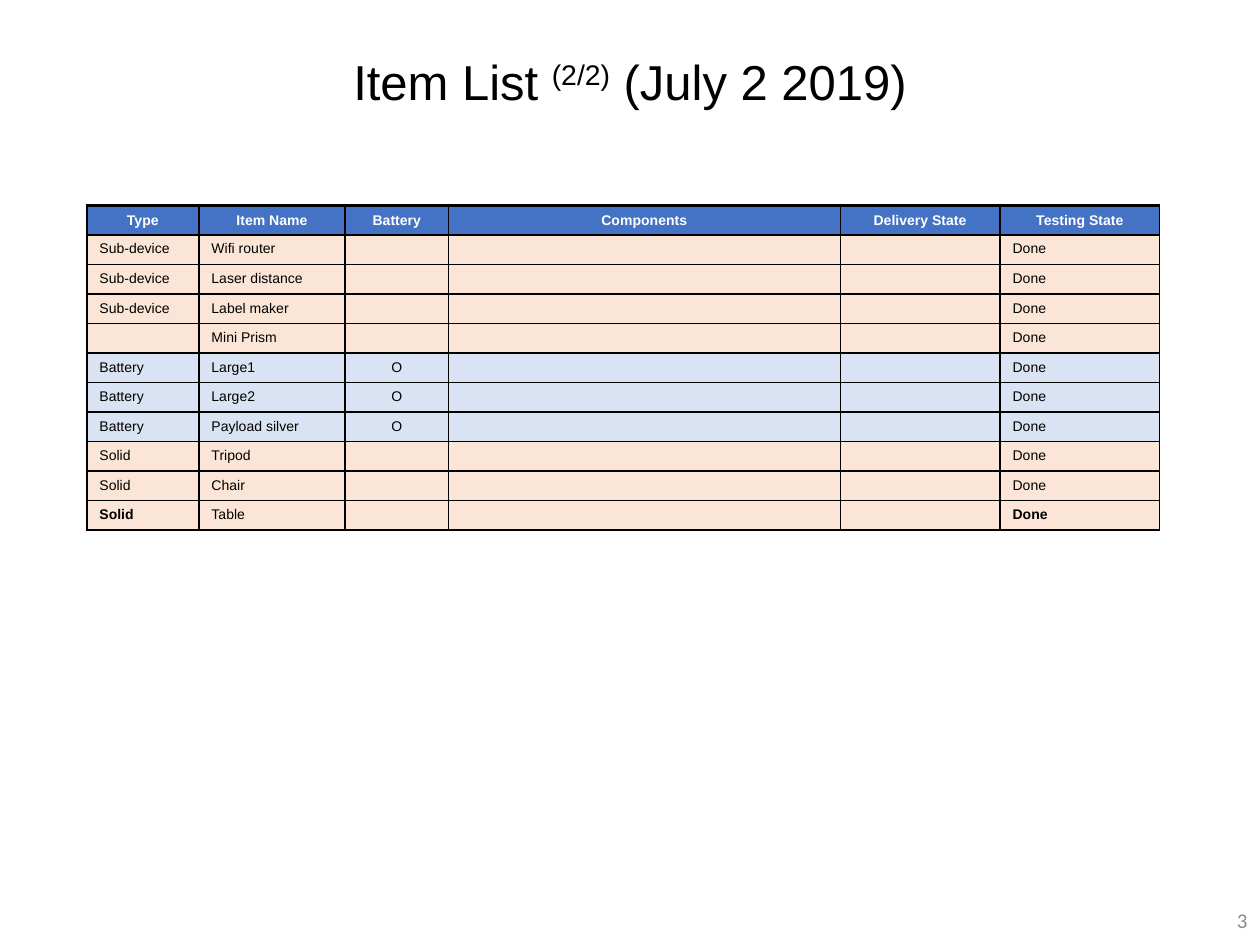
from lxml.etree import SubElement
from pptx import Presentation
from pptx.dml.color import RGBColor
from pptx.enum.text import MSO_ANCHOR, PP_ALIGN
from pptx.oxml.ns import qn
from pptx.util import Cm, Pt

BLACK, WHITE, GREY = "000000", "FFFFFF", "8C8C8C"
HEADER, PEACH, ICE = "4472C4", "FBE5D6", "DAE3F3"
COLUMN_WIDTHS = [2.26, 2.95, 2.08, 7.9, 3.22, 3.22]
HEADINGS = ["Type", "Item Name", "Battery", "Components", "Delivery State", "Testing State"]
ITEMS = [
    ("Sub-device", "Wifi router"),
    ("Sub-device", "Laser distance"),
    ("Sub-device", "Label maker"),
    ("", "Mini Prism"),
    ("Battery", "Large1"),
    ("Battery", "Large2"),
    ("Battery", "Payload silver"),
    ("Solid", "Tripod"),
    ("Solid", "Chair"),
    ("Solid", "Table"),
]


def color(value):
    """Turn a hex string into a colour."""
    return RGBColor.from_string(value)


def add_text(para, text, size=8, font="Arial", fill=BLACK, bold=False, raised=False):
    """Add a formatted span, or set the line size of an empty paragraph."""
    if not text:
        SubElement(para._p, qn("a:endParaRPr"), sz=str(size * 100))
        return
    span = para.add_run()
    span.text = text
    span.font.size = Pt(size)
    span.font.name = font
    span.font.bold = bold
    span.font.color.rgb = color(fill)
    if raised:
        span._r.get_or_add_rPr().set("baseline", "30000")


def add_box(page, left, top, width, height, align):
    """Add a wrapping, vertically centred text box and return its paragraph."""
    box = page.shapes.add_textbox(Cm(left), Cm(top), Cm(width), Cm(height))
    box.text_frame.word_wrap = True
    box.text_frame.vertical_anchor = MSO_ANCHOR.MIDDLE
    para = box.text_frame.paragraphs[0]
    para.alignment = align
    return para


def add_title(page, left, top, width, height):
    """Place the title with its raised page count."""
    para = add_box(page, left, top, width, height, PP_ALIGN.CENTER)
    para.line_spacing = 0.9
    add_text(para, "Item List ", size=28)
    add_text(para, "(2/2)", size=28, raised=True)
    add_text(para, " (July 2 2019)", size=28)


def add_page_number(page, left, top, width, height):
    """Place the page number at the right of its box."""
    para = add_box(page, left, top, width, height, PP_ALIGN.RIGHT)
    add_text(para, "3", size=12, font="Calibri", fill=GREY)


def style_cell(cell, fill, top_width):
    """Give a cell its four black borders and its fill."""
    properties = cell._tc.get_or_add_tcPr()
    for side, width in (("L", 1), ("R", 1), ("T", top_width), ("B", 1)):
        line = SubElement(properties, qn(f"a:ln{side}"), w=str(Pt(width)))
        solid = SubElement(line, qn("a:solidFill"))
        SubElement(solid, qn("a:srgbClr"), val=BLACK)
    cell.fill.solid()
    cell.fill.fore_color.rgb = color(fill)


def add_item_table(page, left, top, width, height):
    """Place the item list with equal rows and a header."""
    rows = [HEADINGS]
    for kind, name in ITEMS:
        rows.append([kind, name, "O" if kind == "Battery" else "", "", "", "Done"])
    frame = page.shapes.add_table(
        len(rows), len(HEADINGS), Cm(left), Cm(top), Cm(width), Cm(height))
    table = frame.table
    for column, column_width in zip(table.columns, COLUMN_WIDTHS):
        column.width = Cm(column_width)
    for row_index, row in enumerate(rows):
        is_header = row_index == 0
        is_last = row_index == len(rows) - 1
        body_fill = ICE if row[0] == "Battery" else PEACH
        for column_index, text in enumerate(row):
            cell = table.cell(row_index, column_index)
            style_cell(cell, HEADER if is_header else body_fill, 2 if is_header else 1)
            cell.vertical_anchor = MSO_ANCHOR.MIDDLE if is_header else MSO_ANCHOR.TOP
            para = cell.text_frame.paragraphs[0]
            centred = is_header or column_index == 2
            para.alignment = PP_ALIGN.CENTER if centred else PP_ALIGN.LEFT
            at_edge = column_index in (0, len(row) - 1)
            add_text(para, text, fill=WHITE if is_header else BLACK,
                     bold=is_header or (is_last and at_edge))


def main():
    """Build the item list slide."""
    deck = Presentation()
    deck.slide_width, deck.slide_height = Cm(25.4), Cm(19.05)
    page = deck.slides.add_slide(deck.slide_layouts[6])
    add_title(page, 1.75, 1.02, 21.9, 1.37)
    add_page_number(page, 19.69, 18.03, 5.71, 1.02)
    add_item_table(page, 1.75, 4.14, sum(COLUMN_WIDTHS), 6.55)
    deck.save("out.pptx")


if __name__ == "__main__":
    main()
